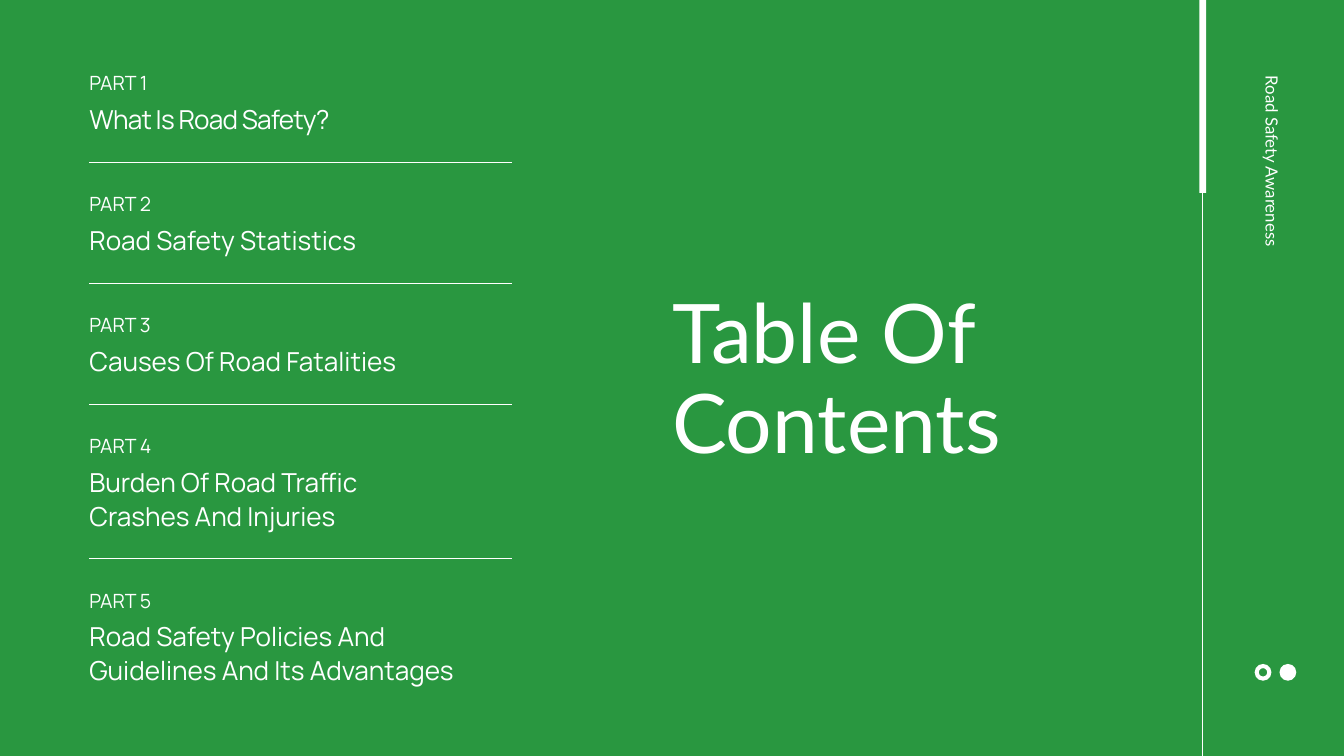
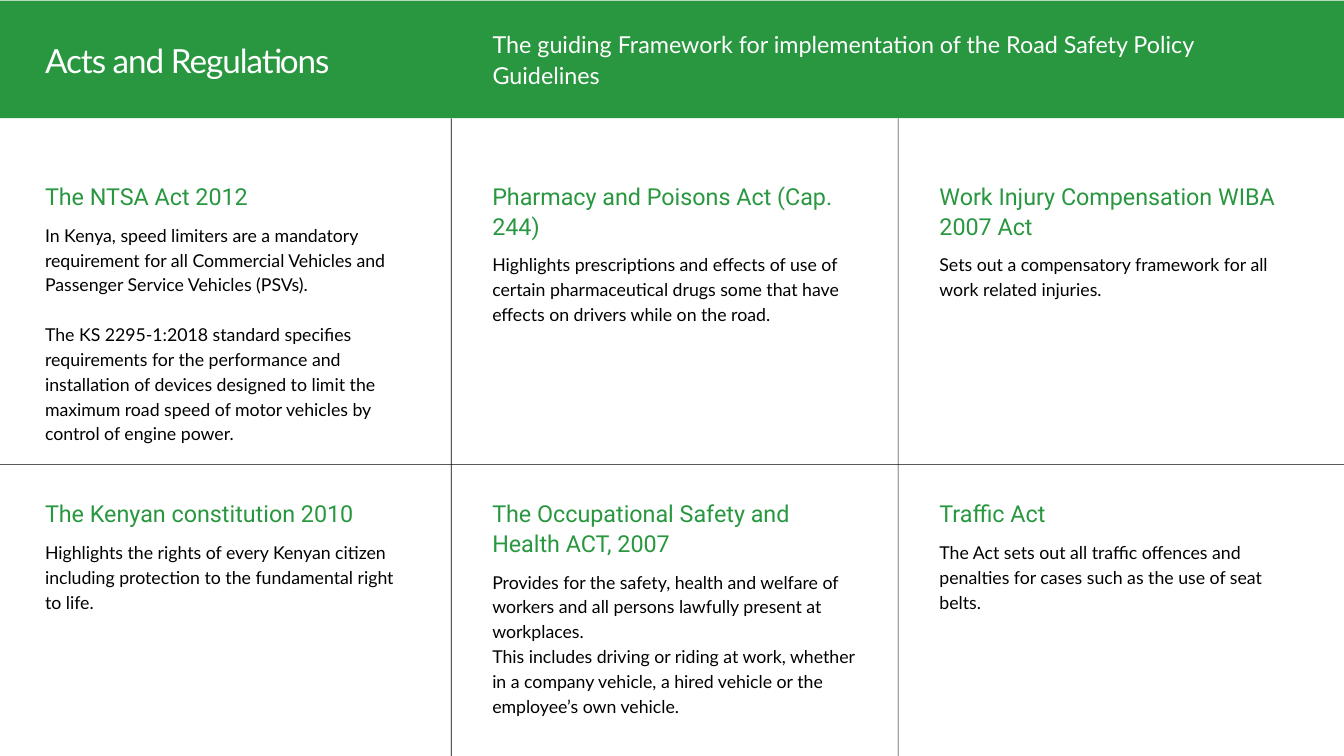
from pptx import Presentation
from pptx.dml.color import RGBColor as RGB
from pptx.enum.shapes import MSO_CONNECTOR as CON, MSO_SHAPE as SHP
from pptx.util import Inches as In, Pt
from lxml import etree

HUE = {"green": "299740", "white": "FFFFFF", "black": "000000"}
NS = "http://schemas.openxmlformats.org/drawingml/2006/main"


def write(slide, box, lines, size, lead, font="Lato", hue="white", track=0, gap=0):
    text = slide.shapes.add_textbox(*map(In, box))
    frame = text.text_frame
    frame.word_wrap = True
    frame.margin_left = frame.margin_right = 0
    frame.margin_top = frame.margin_bottom = 0
    for n, line in enumerate(lines):
        para = frame.add_paragraph() if n else frame.paragraphs[0]
        para.line_spacing = Pt(lead)
        if n:
            para.space_before = Pt(gap)
        run = para.add_run()
        run.text = line
        run.font.size = Pt(size)
        run.font.name = font
        run.font.color.rgb = RGB.from_string(HUE[hue])
        if track:
            run._r.get_or_add_rPr().set("spc", str(track))
    return text


def draw(slide, kind, box, hue):
    shape = slide.shapes.add_shape(kind, *map(In, box))
    shape.shadow.inherit = False
    shape.fill.solid()
    shape.fill.fore_color.rgb = RGB.from_string(HUE[hue])
    shape.line.fill.background()
    return shape


deck = Presentation()
deck.slide_width, deck.slide_height = In(20), In(11.25)
slides = []
for hue in ("green", "white"):
    slide = deck.slides.add_slide(deck.slide_layouts[6])
    slide.background.fill.solid()
    slide.background.fill.fore_color.rgb = RGB.from_string(HUE[hue])
    slides.append(slide)
index, acts = slides

ring = draw(index, SHP.DONUT, (18.67, 9.88, 0.25, 0.25), "white")
ring.adjustments[0] = 0.25
draw(index, SHP.OVAL, (19.04, 9.88, 0.25, 0.25), "white")
draw(index, SHP.RECTANGLE, (17.89, 0, 0.01, 11.25), "white")
draw(index, SHP.RECTANGLE, (17.85, 0, 0.1, 2.87), "white")
write(index, (10, 4.31, 6.12, 2.72), ["Table Of Contents"], 88, 96.8)
side = write(index, (17.52, 2.4, 2.89, 0.34), ["Road Safety Awareness"], 18, 25.2)
side.rotation = 90

parts = [
    ("What Is Road Safety?", 1, 5.43, -80),
    ("Road Safety Statistics", 1, 5.43, 0),
    ("Causes Of Road Fatalities", 1, 5.43, 0),
    ("Burden Of Road Traffic Crashes And Injuries", 2, 5.43, 0),
    ("Road Safety Policies And Guidelines And Its Advantages", 2, 6, 0),
]
top = 1.03
for num, (name, rows, wide, track) in enumerate(parts, 1):
    write(index, (1.33, top, wide, 0.36), [f"PART {num}"], 21, 27.3, "Manrope")
    write(index, (1.33, top + 0.47, wide, 0.49 * rows), [name], 28, 36.4,
          "Manrope", track=track)
    top += 1.3 + 0.5 * rows
    if num < len(parts):
        rule = index.shapes.add_connector(
            CON.STRAIGHT, In(1.33), In(top - 0.42), In(7.62), In(top - 0.42))
        rule.line.color.rgb = RGB.from_string(HUE["white"])
        rule.line.width = Pt(0.75)
        etree.SubElement(rule._element.spPr, f"{{{NS}}}effectLst")

draw(acts, SHP.RECTANGLE, (0, 0.01, 20, 1.75), "green")
write(acts, (0.67, 0.55, 5.51, 0.63), ["Acts and Regulations"], 35.6, 46.3, track=-110)
write(acts, (7.33, 0.42, 11.05, 0.89),
      ["The guiding Framework for implementation of the Road Safety Policy Guidelines"],
      25, 32.5)

cards = [
    ("The NTSA Act 2012", 1, 9, 26.6, [
        "In Kenya, speed limiters are a mandatory requirement for all Commercial "
        "Vehicles and Passenger Service Vehicles (PSVs).",
        "The KS 2295-1:2018 standard specifies requirements for the performance and "
        "installation of devices designed to limit the maximum road speed of motor "
        "vehicles by control of engine power."]),
    ("Pharmacy and Poisons Act (Cap. 244)", 2, 3, 0, [
        "Highlights prescriptions and effects of use of certain pharmaceutical drugs "
        "some that have effects on drivers while on the road."]),
    ("Work Injury Compensation WIBA 2007 Act", 2, 2, 0, [
        "Sets out a compensatory framework for all work related injuries."]),
    ("The Kenyan constitution 2010", 1, 3, 0, [
        "Highlights the rights of every Kenyan citizen including protection to the "
        "fundamental right to life."]),
    ("The Occupational Safety and Health ACT, 2007", 2, 6, 0, [
        "Provides for the safety, health and welfare of workers and all persons "
        "lawfully present at workplaces.",
        "This includes driving or riding at work, whether in a company vehicle, a "
        "hired vehicle or the employee’s own vehicle."]),
    ("Traffic Act", 1, 3, 0, [
        "The Act sets out all traffic offences and penalties for cases such as the "
        "use of seat belts."]),
]
for n, (head, rows, count, gap, body) in enumerate(cards):
    left = 0.67 + 6.655 * (n % 3)
    top = 2.67 + 4.72 * (n // 3)
    write(acts, (left, top, 5.42, 0.44 * rows), [head], 25, 32.5, "Roboto", "green")
    write(acts, (left, top + 0.18 + 0.44 * rows, 5.42, 0.36 * count), body,
          19, 26.6, hue="black", gap=gap)

for box in ((6.71, 1.76, 0.01, 9.49), (13.36, 1.76, 0.01, 9.49), (0, 6.91, 20, 0.01)):
    draw(acts, SHP.RECTANGLE, box, "black")

deck.save("out.pptx")
